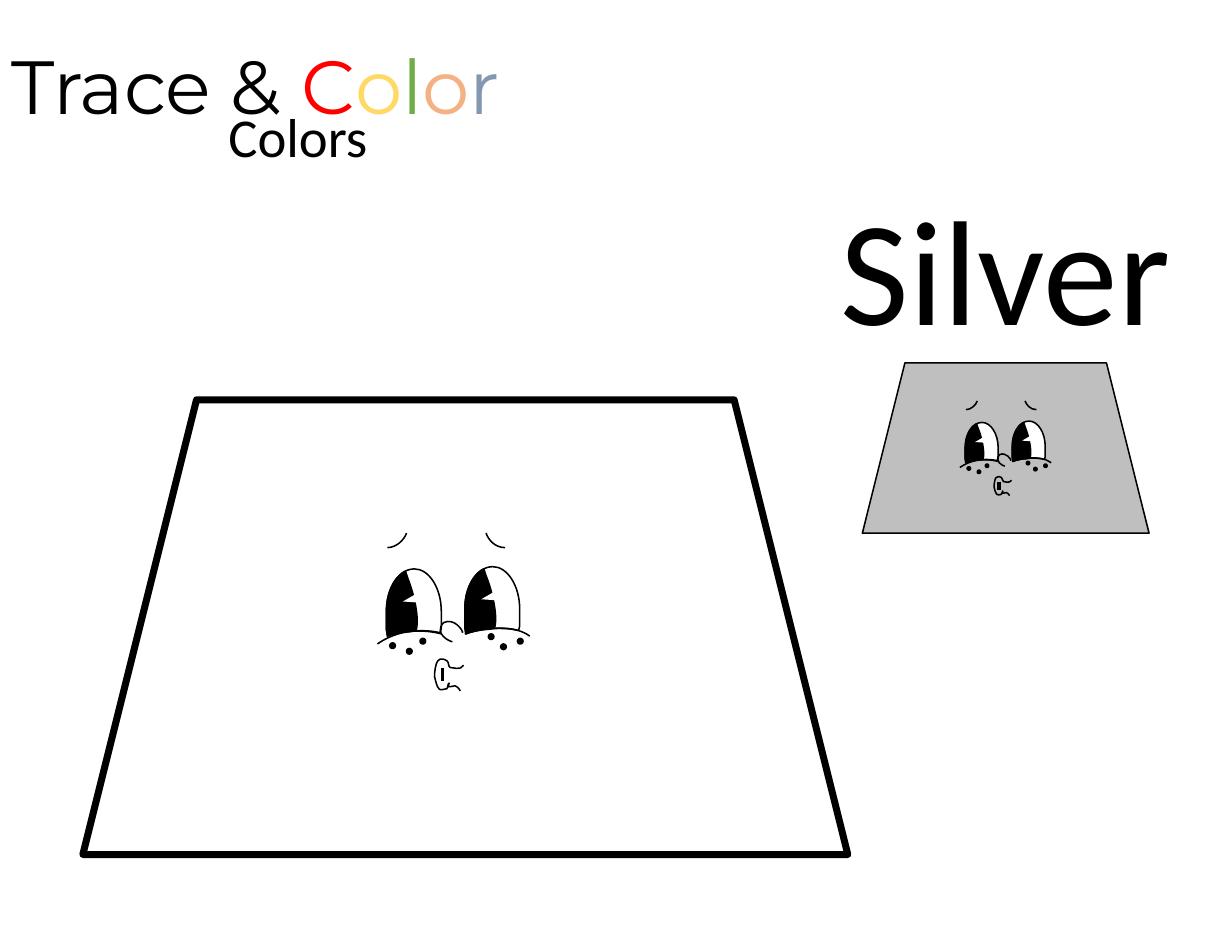
from dataclasses import dataclass
from typing import Optional

from lxml.etree import SubElement
from pptx import Presentation
from pptx.dml.color import RGBColor
from pptx.enum.shapes import MSO_CONNECTOR, MSO_SHAPE
from pptx.enum.text import MSO_AUTO_SIZE, PP_ALIGN
from pptx.oxml.ns import qn
from pptx.util import Inches, Pt

COLORS = {
    "black": "000000", "white": "FFFFFF", "silver": "BFBFBF", "red": "FF0000",
    "yellow": "FFD966", "green": "70AD47", "orange": "F4B183", "blue": "8497B0",
}


@dataclass(frozen=True)
class Label:
    frame: tuple
    runs: tuple
    size: float
    font: str = "Calibri"
    align: PP_ALIGN = PP_ALIGN.CENTER


@dataclass(frozen=True)
class Outline:
    """A start point, then segments: 2 numbers make a line, 6 a Bezier curve."""
    start: tuple
    segments: tuple
    fill: Optional[str] = None


@dataclass(frozen=True)
class Face:
    left: float
    top: float
    scale: float


LABELS = (
    Label((0, 0.3, 5.51, 0.92),
          (("Trace & ", "black"), ("C", "red"), ("o", "yellow"), ("l", "green"),
           ("o", "orange"), ("r", "blue")), 48.4, "Montserrat", PP_ALIGN.LEFT),
    Label((7.33, 1.52, 3.3, 1.72), (("Silver", "black"),), 96),
    Label((0.1, 0.87, 5.12, 0.69), (("Colors", "black"),), 35.2),
)
FACES = (Face(8.57, 3.58, 0.6), Face(3.37, 4.76, 1))

# Face parts, in inches from the corner of a full-size face
LEFT_FRECKLES = ((0.11, 0.98), (0.26, 1.03), (0.38, 0.94))
RIGHT_FRECKLES = ((0.99, 0.9), (1.1, 0.99), (1.25, 0.94))
FRECKLE_SIZE = 0.05
LEFT_CHEEK = Outline((0, 0.99), ((0.06, 0.95, 0.25, 0.82, 0.57, 0.9),))
RIGHT_CHEEK = Outline((0.78, 0.9), ((0.85, 0.87, 1.19, 0.79, 1.36, 0.92),))
BROWS = (
    Outline((0.26, 0), ((0.24, 0.06, 0.17, 0.13, 0.09, 0.13),)),
    Outline((0.97, 0), ((0.99, 0.06, 1.05, 0.13, 1.14, 0.13),)),
)
NOSE = Outline((0.67, 0.97), ((0.65, 0.97, 0.5, 0.9, 0.59, 0.8),
                              (0.69, 0.75, 0.77, 0.88, 0.76, 0.89)))
MOUTH = Outline((0.77, 1.18), (
    (0.74, 1.23, 0.68, 1.2, 0.65, 1.2), (0.63, 1.19, 0.64, 1.15, 0.62, 1.14),
    (0.61, 1.13, 0.56, 1.11, 0.54, 1.14), (0.52, 1.16, 0.51, 1.24, 0.51, 1.28),
    (0.52, 1.32, 0.53, 1.37, 0.55, 1.39), (0.56, 1.41, 0.6, 1.39, 0.62, 1.39),
    (0.63, 1.38, 0.63, 1.34, 0.64, 1.34), (0.65, 1.33, 0.61, 1.39, 0.66, 1.37),
    (0.71, 1.34, 0.74, 1.41, 0.74, 1.41)))
TONGUE = ((0.58, 1.2), (0.58, 1.32))

# Eye parts, in inches from the corner of the eye
RIGHT_EYE, LEFT_EYE = (0.78, 0.3), (0.08, 0.32)
EYEBALL = Outline((0.25, 0), (
    (0.38, 0, 0.49, 0.17, 0.49, 0.38), (0.49, 0.44, 0.49, 0.48, 0.49, 0.53),
    (0.48, 0.57), (0.43, 0.56), (0.29, 0.54, 0.12, 0.56, 0.04, 0.59),
    (0.01, 0.6), (0, 0.54), (0, 0.49, 0, 0.44, 0, 0.38),
    (0, 0.17, 0.11, 0, 0.25, 0)), "white")
PUPIL = Outline((0.17, 0.02), (
    (0.19, 0.08), (0.25, 0.23, 0.29, 0.43, 0.27, 0.53), (0.26, 0.55),
    (0.21, 0.56), (0.14, 0.56, 0.08, 0.58, 0.03, 0.59), (0.01, 0.6),
    (0, 0.54), (0, 0.49, 0, 0.44, 0, 0.38), (0, 0.22, 0.06, 0.09, 0.15, 0.03)), "black")
GLINT = (0.18, 0.18, 0.11, 0.18)


def rgb(name: str) -> RGBColor:
    return RGBColor.from_string(COLORS[name])


def paint(shape, fill: Optional[str], line_width: float = 1) -> None:
    shape.shadow.inherit = False
    if fill:
        shape.fill.solid()
        shape.fill.fore_color.rgb = rgb(fill)
    else:
        shape.fill.background()
    if line_width:
        shape.line.color.rgb = rgb("black")
        shape.line.width = Pt(line_width)
    else:
        shape.line.fill.background()


def add_preset(shapes, kind: MSO_SHAPE, frame: tuple, fill: str, line_width: float = 1,
               rotation: float = 0) -> None:
    shape = shapes.add_shape(kind, *map(Inches, frame))
    shape.rotation = rotation
    paint(shape, fill, line_width)


def add_label(page, label: Label) -> None:
    box = page.shapes.add_textbox(*map(Inches, label.frame))
    box.text_frame.word_wrap = True
    box.text_frame.auto_size = MSO_AUTO_SIZE.SHAPE_TO_FIT_TEXT
    para = box.text_frame.paragraphs[0]
    para.alignment = label.align
    for text, color in label.runs:
        span = para.add_run()
        span.text = text
        for name, value in {"name": label.font, "size": Pt(label.size)}.items():
            setattr(span.font, name, value)
        span.font.color.rgb = rgb(color)


def bend(shape, segments: tuple) -> None:
    """Join each three lines that stand for a curve into one Bezier segment."""
    lines = iter(list(shape._element.iter(qn("a:lnTo"))))
    for segment in segments:
        first = next(lines)
        if len(segment) == 6:
            first.tag_name = None
            curve = first.makeelement(qn("a:cubicBezTo"))
            first.addprevious(curve)
            for line in (first, next(lines), next(lines)):
                curve.append(line[0])
                line.getparent().remove(line)


def place(face: Face, x: float, y: float) -> tuple:
    return face.left + x * face.scale, face.top + y * face.scale


def add_outline(shapes, face: Face, outline: Outline, offset: tuple = (0, 0)) -> None:
    points = [outline.start]
    for segment in outline.segments:
        points.extend(zip(segment[::2], segment[1::2]))
    points = [tuple(map(Inches, place(face, x + offset[0], y + offset[1])))
              for x, y in points]
    builder = shapes.build_freeform(*points[0])
    builder.add_line_segments(points[1:], close=outline.fill is not None)
    shape = builder.convert_to_shape()
    bend(shape, outline.segments)
    paint(shape, outline.fill)


def add_freckles(shapes, face: Face, spots: tuple) -> None:
    size = FRECKLE_SIZE * face.scale
    for spot in spots:
        add_preset(shapes, MSO_SHAPE.OVAL, (*place(face, *spot), size, size), "black")


def add_eye(shapes, face: Face, corner: tuple) -> None:
    for outline in (EYEBALL, PUPIL):
        add_outline(shapes, face, outline, corner)
    left, top, width, height = GLINT
    frame = (*place(face, corner[0] + left, corner[1] + top),
             width * face.scale, height * face.scale)
    add_preset(shapes, MSO_SHAPE.ISOSCELES_TRIANGLE, frame, "white", 0, 257)


def add_face(page, face: Face) -> None:
    shapes = page.shapes.add_group_shape().shapes
    add_freckles(shapes, face, LEFT_FRECKLES)
    for outline in (LEFT_CHEEK, *BROWS):
        add_outline(shapes, face, outline)
    add_eye(shapes, face, RIGHT_EYE)
    add_outline(shapes, face, RIGHT_CHEEK)
    add_eye(shapes, face, LEFT_EYE)
    add_outline(shapes, face, NOSE)
    add_freckles(shapes, face, RIGHT_FRECKLES)
    add_outline(shapes, face, MOUTH)
    ends = [Inches(value) for point in TONGUE for value in place(face, *point)]
    tongue = shapes.add_connector(MSO_CONNECTOR.STRAIGHT, *ends)
    tongue.line.color.rgb = rgb("black")
    tongue.line.width = Pt(2.25)
    SubElement(tongue._element.spPr, qn("a:effectLst"))


def main() -> None:
    deck = Presentation()
    deck.slide_width, deck.slide_height = Inches(11), Inches(8.5)
    page = deck.slides.add_slide(deck.slide_layouts[6])
    for label in LABELS:
        add_label(page, label)
    add_preset(page.shapes, MSO_SHAPE.TRAPEZOID, (7.7, 3.24, 2.56, 1.52), "silver")
    add_preset(page.shapes, MSO_SHAPE.TRAPEZOID, (0.74, 3.57, 6.83, 4.06), "white", 4.5)
    for face in FACES:
        add_face(page, face)
    deck.save("out.pptx")


if __name__ == "__main__":
    main()
